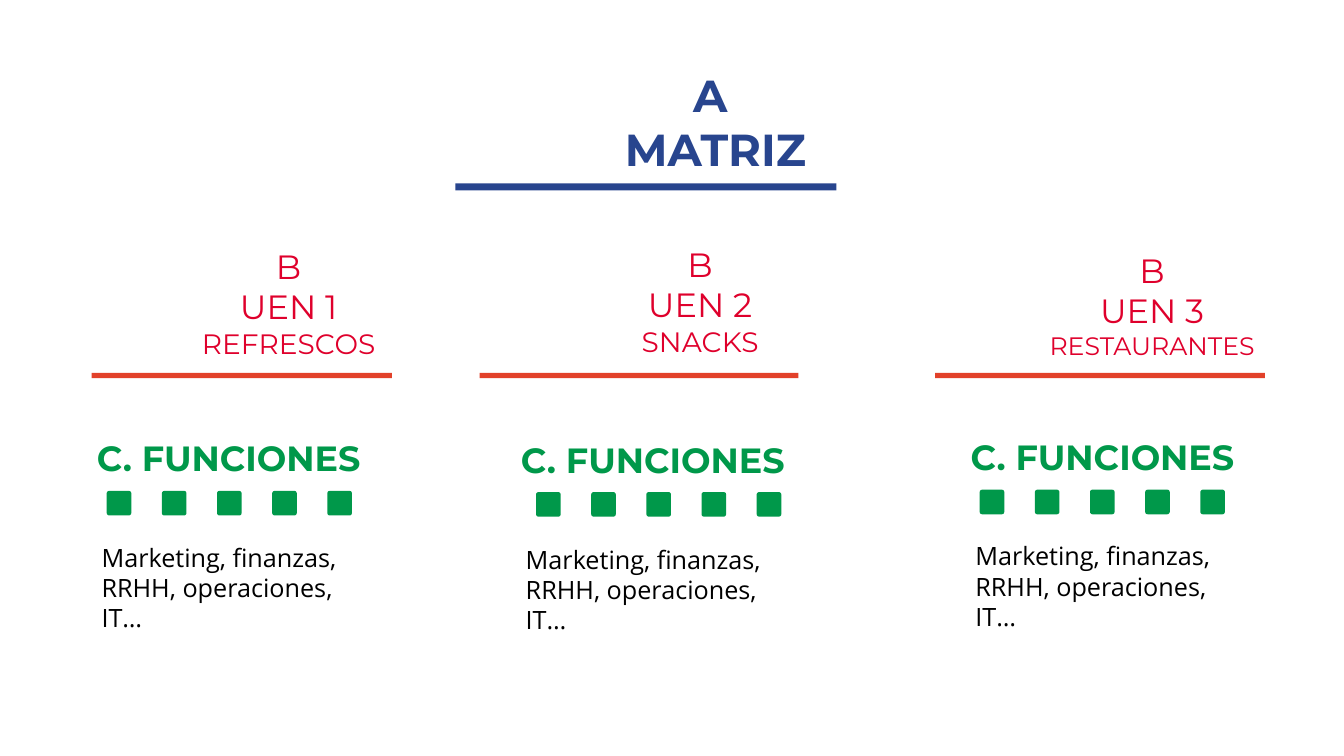
"""Build the slide of a parent firm, its three business units and their functions."""
from pptx import Presentation
from pptx.dml.color import RGBColor
from pptx.enum.shapes import MSO_SHAPE as Shape
from pptx.enum.text import MSO_AUTO_SIZE as Fit, PP_ALIGN as Align
from pptx.util import Cm, Pt

BLUE = RGBColor(0x28, 0x45, 0x8E)
RED = RGBColor(0xDF, 0x00, 0x2C)
ORANGE = RGBColor(0xE2, 0x41, 0x2A)
GREEN = RGBColor(0x00, 0x98, 0x4A)
BLACK = RGBColor(0, 0, 0)

TITLE = [("A ", 32, Align.CENTER), ("MATRIZ", 32, Align.LEFT)]
TASK = [("C. FUNCIONES", 25, Align.LEFT)]
AREAS = [("Marketing, finanzas, RRHH, operaciones, IT…", 18, Align.LEFT)]
UNITS = [
    dict(name="REFRESCOS", size=20, head=(4.67, 6.2, 5.21), rule=(2.31, 7.57),
         task=(2.44, 11), dots=(2.69, 12.37)),
    dict(name="SNACKS", size=20, head=(15.04, 6.15, 5.21), rule=(12.09, 8.03),
         task=(13.13, 11.05), dots=(13.51, 12.4)),
    dict(name="RESTAURANTES", size=18, head=(26.19, 6.3, 5.69), rule=(23.57, 8.31),
         task=(24.46, 10.97), dots=(24.69, 12.34)),
]
HEAD = dict(name="Montserrat", color=RED, bold=False)
BOLD = dict(name="Montserrat", color=GREEN, bold=True)
MAIN = dict(name="Montserrat", color=BLUE, bold=True)
BODY = dict(name="Open Sans", color=BLACK, bold=False)
DOTS, STEP, SIDE = 5, 1.39, 0.62
WIDE = 6.71


def add_text(slide, box, lines, style, wrap=True, inset=True):
    frame = slide.shapes.add_textbox(*map(Cm, box)).text_frame
    frame.word_wrap = wrap
    frame.auto_size = Fit.SHAPE_TO_FIT_TEXT
    if not inset:
        for side in ("left", "top", "right", "bottom"):
            setattr(frame, f"margin_{side}", 0)
    for row, (text, size, align) in enumerate(lines):
        para = frame.add_paragraph() if row else frame.paragraphs[0]
        para.alignment = align
        run = para.add_run()
        run.text = text
        run.font.size = Pt(size)
        for key, value in style.items():
            if key == "color":
                run.font.color.rgb = value
            else:
                setattr(run.font, key, value)


def add_block(slide, kind, box, color):
    block = slide.shapes.add_shape(kind, *map(Cm, box))
    block.shadow.inherit = False
    block.fill.solid()
    block.fill.fore_color.rgb = color
    block.line.fill.background()
    return block


def add_unit(slide, rank, unit):
    lines = [("B", 24, Align.CENTER), (f"UEN {rank}", 24, Align.CENTER),
             (unit["name"], unit["size"], Align.CENTER)]
    add_text(slide, (*unit["head"], 2.9), lines, HEAD, inset=False)
    left, width = unit["rule"]
    add_block(slide, Shape.RECTANGLE, (left, 9.4, width, 0.13), ORANGE)
    left, top = unit["task"]
    add_text(slide, (left, top, WIDE, 1.07), TASK, BOLD, inset=False)
    add_text(slide, (left - 0.13, top + 2.53, WIDE, 2.57), AREAS, BODY)
    left, top = unit["dots"]
    for col in range(DOTS):
        box = (left + col * STEP, top, SIDE, SIDE)
        add_block(slide, Shape.ROUNDED_RECTANGLE, box, GREEN).adjustments[0] = 0.1


def main():
    deck = Presentation()
    deck.slide_width, deck.slide_height = Cm(33.87), Cm(19.05)
    slide = deck.slides.add_slide(deck.slide_layouts[6])
    add_text(slide, (15.75, 1.7, 4.62, 2.74), TITLE, MAIN, wrap=False, inset=False)
    add_block(slide, Shape.RECTANGLE, (11.48, 4.62, 9.6, 0.18), BLUE)
    for rank, unit in enumerate(UNITS, 1):
        add_unit(slide, rank, unit)
    deck.save("out.pptx")


if __name__ == "__main__":
    main()
